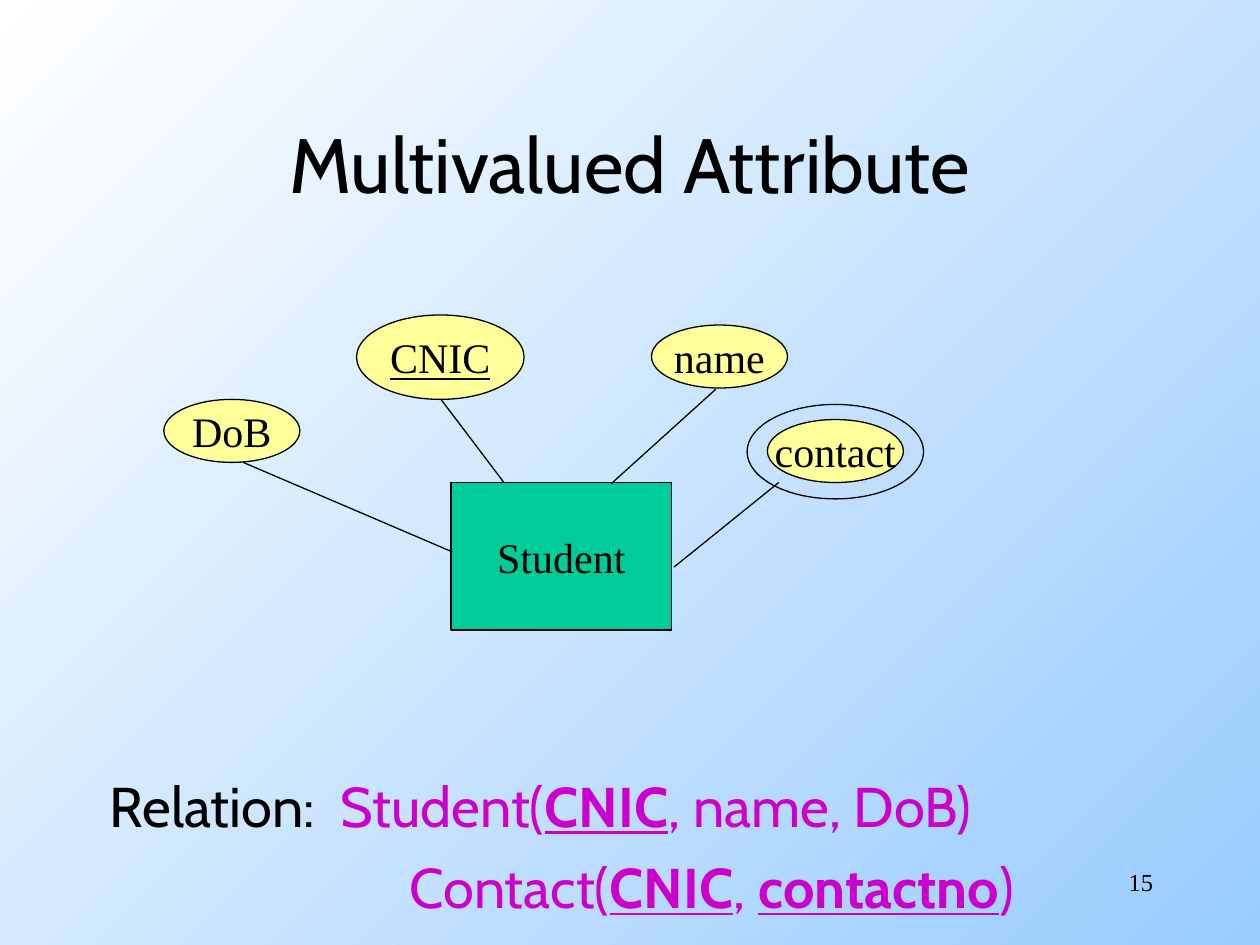
import pptx
import pptx.util
import pptx.dml.color
import pptx.enum.shapes
import pptx.enum.text
from dataclasses import dataclass
from lxml import etree
from pptx.oxml import ns

Inches = pptx.util.Inches
Pt = pptx.util.Pt
Kind = pptx.enum.shapes.MSO_SHAPE
Align = pptx.enum.text.PP_ALIGN
Anchor = pptx.enum.text.MSO_ANCHOR


def tint(code):
    return pptx.dml.color.RGBColor.from_string(code)


@dataclass(frozen=True)
class Theme:
    ink = tint("000000")
    pale = tint("FFFFFF")
    sky = tint("99CCFF")
    green = tint("00CC99")
    yellow = tint("FFFF99")
    pink = tint("CC00CC")
    sans = "Cabin"
    serif = "Times New Roman"
    head = Pt(44)
    body = Pt(32)
    label = Pt(24)
    small = Pt(14)
    line = Pt(0.75)


theme = Theme()


def style(para, face, size, color=None, align=None):
    para.font.name = face
    para.font.size = size
    para.alignment = align
    if color is not None:
        para.font.color.rgb = color


def place(shape, box):
    shape.left, shape.top, shape.width, shape.height = map(Inches, box)


def paint(slide):
    fill = slide.background.fill
    fill.gradient()
    fill.gradient_angle = 315
    for stop, color, at in zip(fill.gradient_stops, (theme.pale, theme.sky), (0, 1)):
        stop.color.rgb = color
        stop.position = at


def add_title(slide, box, text):
    title = slide.shapes.title
    place(title, box)
    title.text_frame.text = text
    title.text_frame.vertical_anchor = Anchor.MIDDLE
    style(title.text_frame.paragraphs[0], theme.sans, theme.head, theme.ink, Align.CENTER)


def add_node(slide, box, kind, fill, text="", under=None):
    node = slide.shapes.add_shape(kind, *map(Inches, box))
    node.shadow.inherit = False
    node.line.color.rgb = theme.ink
    node.line.width = theme.line
    if fill is None:
        node.fill.background()
    else:
        node.fill.solid()
        node.fill.fore_color.rgb = fill
    if text:
        frame = node.text_frame
        frame.text = text
        frame.word_wrap = False
        frame.vertical_anchor = Anchor.MIDDLE
        style(frame.paragraphs[0], theme.serif, theme.label, theme.ink, Align.CENTER)
        frame.paragraphs[0].font.underline = under


def add_link(slide, start, end):
    link = slide.shapes.add_connector(
        pptx.enum.shapes.MSO_CONNECTOR.STRAIGHT, *map(Inches, start + end))
    link.line.color.rgb = theme.ink
    link.line.width = theme.line
    etree.SubElement(link._element.spPr, ns.qn("a:effectLst"))


def add_graph(slide, box):
    left, top = box[:2]

    def shift(x, y):
        return left + x, top + y

    add_node(slide, shift(2.28, 1.33) + (1.75, 1.17), Kind.RECTANGLE, theme.green, "Student")
    ovals = [
        ("CNIC", 1.53, 0, 1.33, 0.67, True),
        ("name", 3.87, 0.08, 1.08, 0.5, None),
        ("contact", 4.79, 0.83, 1.08, 0.5, None),
        ("DoB", 0, 0.67, 1.08, 0.5, None),
    ]
    for text, x, y, wide, high, under in ovals:
        add_node(slide, shift(x, y) + (wide, high), Kind.OVAL, theme.yellow, text, under)
    links = [
        ((2.2, 0.67), (2.7, 1.33)),
        ((0.63, 1.17), (2.29, 1.88)),
        ((4.88, 1.33), (4.05, 2)),
        ((4.38, 0.59), (3.55, 1.34)),
    ]
    for start, end in links:
        add_link(slide, shift(*start), shift(*end))
    add_node(slide, shift(4.63, 0.71) + (1.4, 0.75), Kind.OVAL, None)


def add_schema(slide, box):
    body = slide.placeholders[1]
    place(body, box)
    frame = body.text_frame
    frame.auto_size = pptx.enum.text.MSO_AUTO_SIZE.NONE
    frame.vertical_anchor = Anchor.TOP
    rows = [
        (0, 0, [("Relation:  ", theme.ink, False), ("Student(", theme.pink, False),
                ("CNIC", theme.pink, True), (", name, DoB)", theme.pink, False)]),
        (2.38, 8, [("Contact(", theme.pink, False), ("CNIC", theme.pink, True),
                   (", ", theme.pink, False), ("contactno", theme.pink, True),
                   (")", theme.pink, False)]),
    ]
    for i, (inset, gap, parts) in enumerate(rows):
        para = frame.add_paragraph() if i else frame.paragraphs[0]
        props = para._p.get_or_add_pPr()
        props.set("marL", str(Inches(inset)))
        props.set("indent", "0")
        etree.SubElement(props, ns.qn("a:buNone"))
        para.space_before = Pt(gap)
        style(para, theme.sans, theme.body)
        for text, color, key in parts:
            run = para.add_run()
            run.text = text
            run.font.color.rgb = color
            if key:
                run.font.bold = run.font.underline = True


def add_number(slide, box, text):
    frame = slide.shapes.add_textbox(*map(Inches, box)).text_frame
    frame.word_wrap = True
    frame.text = text
    style(frame.paragraphs[0], theme.serif, theme.small, theme.ink, Align.RIGHT)


def main():
    deck = pptx.Presentation()
    deck.slide_width, deck.slide_height = Inches(10), Inches(7.5)
    slide = deck.slides.add_slide(deck.slide_layouts[1])
    paint(slide)
    add_number(slide, (7.17, 6.83, 2.08, 0.5), "15")
    add_title(slide, (0.75, 0.67, 8.5, 1.25), "Multivalued Attribute")
    add_schema(slide, (0.77, 6.07, 8.5, 1.27))
    add_graph(slide, (1.3, 2.5, 6.03, 2.5))
    deck.save("out.pptx")


if __name__ == "__main__":
    main()
